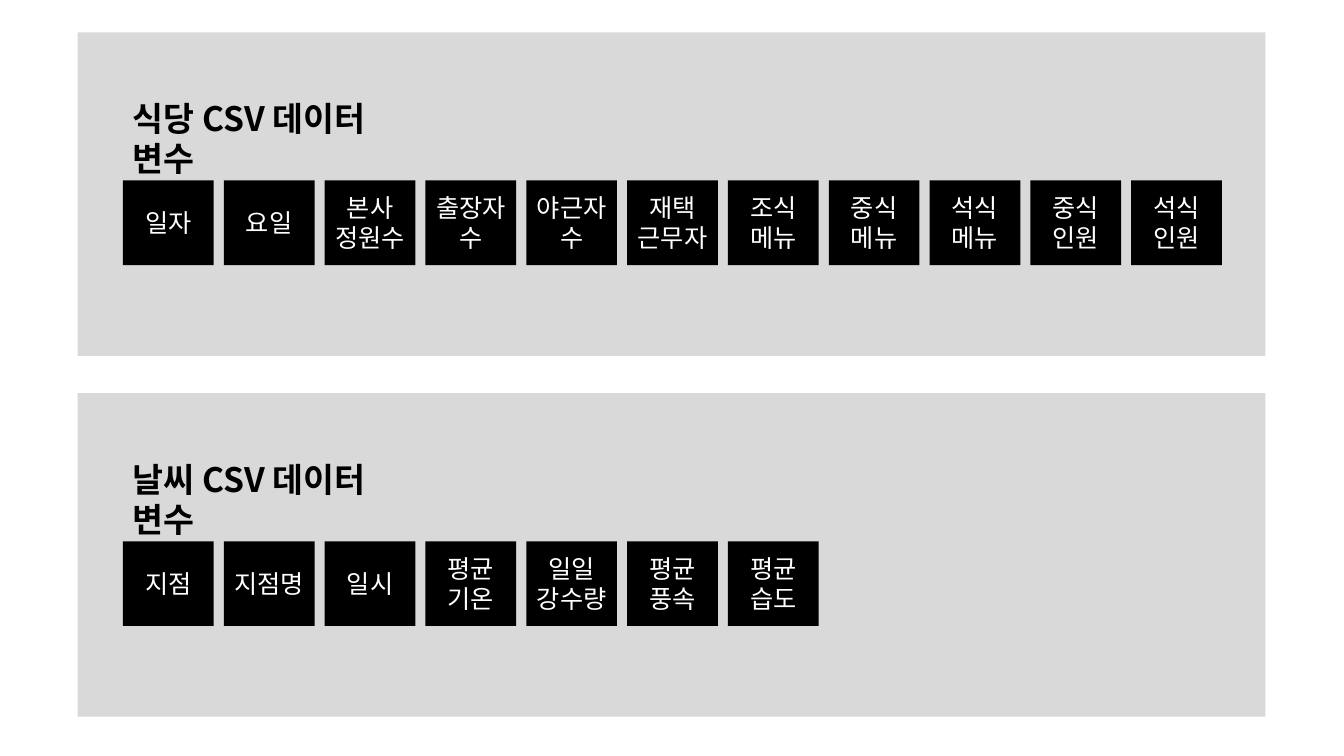
from pptx import Presentation
from pptx.dml.color import RGBColor
from pptx.enum.shapes import MSO_SHAPE
from pptx.enum.text import MSO_ANCHOR, PP_ALIGN
from pptx.oxml.ns import qn
from pptx.util import Inches, Pt

RECT = MSO_SHAPE.RECTANGLE
MIDDLE = MSO_ANCHOR.MIDDLE
LEFT, CENTER = PP_ALIGN.LEFT, PP_ALIGN.CENTER

COLORS = {"panel": "D9D9D9", "tile": "000000", "label": "FFFFFF", "heading": "000000"}
FONT = "Noto Sans CJK KR"
PANEL_LEFT, PANEL_TOP, PANEL_PITCH = 0.77, 0.32, 3.58
GRID_LEFT, COLUMN = 1.22, 1.0
HEADING_ROW, TILE_ROW = 0.6, 1.47

DATASETS = [
    ("식당 CSV 데이터 변수",
     ["일자", "요일", "본사\n정원수", "출장자수", "야근자수", "재택\n근무자",
      "조식\n메뉴", "중식\n메뉴", "석식\n메뉴", "중식\n인원", "석식\n인원"]),
    ("날씨 CSV 데이터 변수",
     ["지점", "지점명", "일시", "평균\n기온", "일일\n강수량", "평균\n풍속", "평균\n습도"]),
]


class Deck:
    def __init__(self, prs):
        self.s = prs.slides.add_slide(prs.slide_layouts[6])

    def set_text(self, sp, text, size, color, align, bold=False):
        tf = sp.text_frame
        tf.word_wrap = True
        tf.text = text
        for p in tf.paragraphs:
            p.alignment = align
            for r in p.runs:
                r.font.name = FONT
                r.font.size = Pt(size)
                r.font.bold = bold
                r.font.color.rgb = RGBColor.from_string(COLORS[color])
                rpr = r._r.get_or_add_rPr()
                ea = rpr.makeelement(qn("a:ea"), {"typeface": FONT})
                rpr.find(qn("a:latin")).addnext(ea)

    def box(self, x, y, w, h, color):
        sp = self.s.shapes.add_shape(RECT, Inches(x), Inches(y), Inches(w), Inches(h))
        sp.shadow.inherit = False
        sp.fill.solid()
        sp.fill.fore_color.rgb = RGBColor.from_string(COLORS[color])
        sp.line.fill.background()
        return sp

    def panel(self, y):
        self.box(PANEL_LEFT, y, 11.78, 3.21, "panel")

    def heading(self, y, text):
        sp = self.s.shapes.add_textbox(Inches(GRID_LEFT), Inches(y), Inches(3.16), Inches(0.5))
        self.set_text(sp, text, 24, "heading", LEFT, bold=True)

    def tile(self, column, y, text):
        sp = self.box(GRID_LEFT + column * COLUMN, y, 0.9, 0.84, "tile")
        sp.text_frame.vertical_anchor = MIDDLE
        self.set_text(sp, text, 18, "label", CENTER)


prs = Presentation()
prs.slide_width, prs.slide_height = Inches(13.33), Inches(7.5)
deck = Deck(prs)
for row, (title, variables) in enumerate(DATASETS):
    top = PANEL_TOP + row * PANEL_PITCH
    deck.panel(top)
    deck.heading(top + HEADING_ROW, title)
    for column, name in enumerate(variables):
        deck.tile(column, top + TILE_ROW, name)
prs.save("out.pptx")
